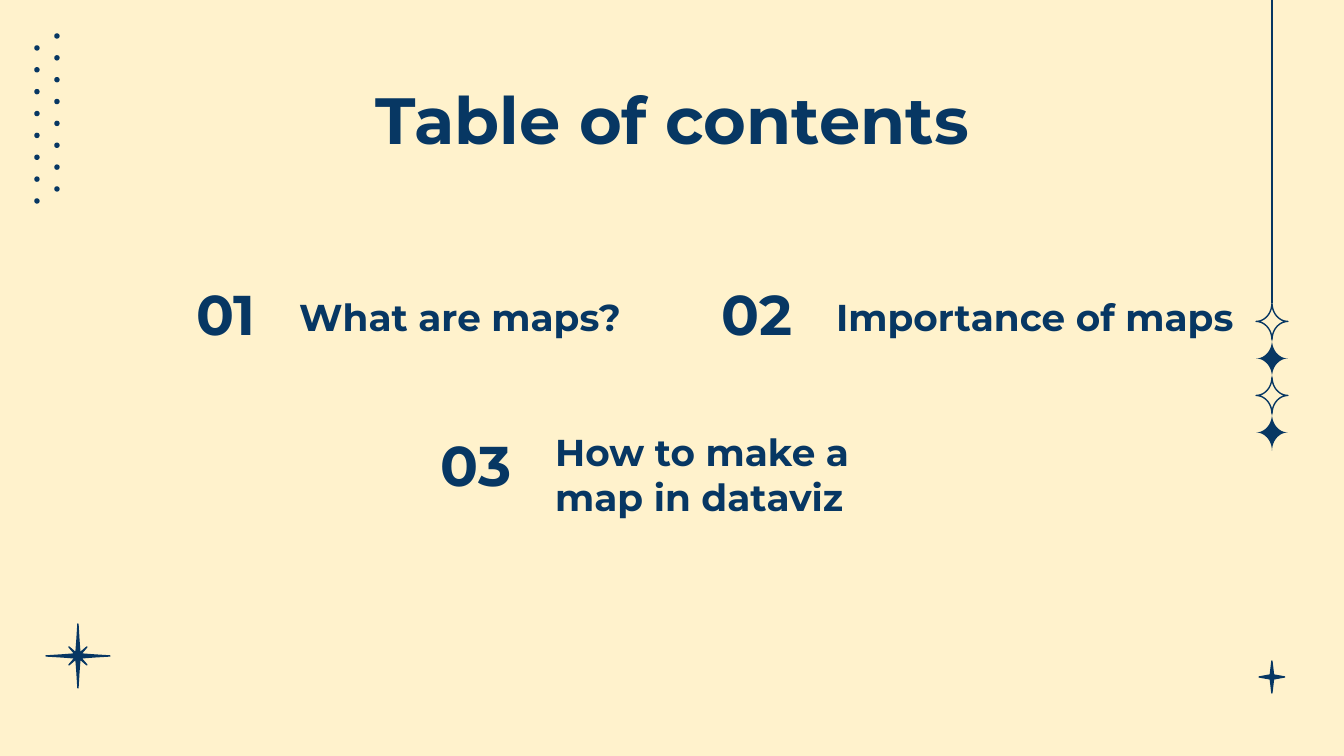
"""Build a table of contents slide with star and dot ornaments."""
import math
from dataclasses import dataclass

import pptx
import pptx.dml.color
import pptx.enum.shapes
import pptx.enum.text
import pptx.oxml.ns
import pptx.util
from lxml import etree

SCALE = 914400 / 134.4
ALIGN = pptx.enum.text.PP_ALIGN
ANCHOR = pptx.enum.text.MSO_ANCHOR


@dataclass(frozen=True)
class Theme:
    ink: str = "073763"
    paper: str = "FFF2CC"
    font: str = "Montserrat"
    title: int = 35
    number: int = 30
    topic: int = 20
    line: float = 0.75


THEME = Theme()
SIZE = (1344, 756)
TITLE = ("Table of contents", (106, 66, 1133, 85))
TOPICS = [
    ("01", (172, 280, 108, 66), "What are maps?", (286, 250, 368, 102)),
    ("02", (703, 280, 108, 66), "Importance of maps", (823, 286, 427, 66)),
    ("03", (422, 431, 108, 66), "How to make a map in dataviz", (542, 419, 340, 113)),
]
DOT = 4
DOT_ROWS = 8
DOT_SPAN = 153
DOT_COLUMNS = [(35, 46), (55, 34)]
AXIS = 1272
GEM_TOP = 303
GEM_HEIGHT = 37
GEM_FILLS = [False, True, False, True]
SPARKLE = [(0, -32), (1, -16), (2, -3), (9, -9), (3, -2), (16, -1)]
TWINKLE = [(0, -16), (2, -2)]


def px(value):
    return pptx.util.Emu(round(value * SCALE))


def ink():
    return pptx.dml.color.RGBColor.from_string(THEME.ink)


def paint(shape, filled=True, outlined=True):
    shape.shadow.inherit = False
    if filled:
        shape.fill.solid()
        shape.fill.fore_color.rgb = ink()
    else:
        shape.fill.background()
    if outlined:
        shape.line.color.rgb = ink()
        shape.line.width = pptx.util.Pt(THEME.line)
    else:
        shape.line.fill.background()


def add_text(page, text, frame, *, size, align=ALIGN.LEFT, anchor=ANCHOR.TOP):
    box = page.shapes.add_textbox(*map(px, frame))
    body = box.text_frame
    body.word_wrap = True
    body.vertical_anchor = anchor
    inset = pptx.util.Inches(0.1)
    body.margin_left = body.margin_right = inset
    body.margin_top = body.margin_bottom = inset
    para = body.paragraphs[0]
    para.alignment = align
    span = para.add_run()
    span.text = text
    span.font.name = THEME.font
    span.font.size = pptx.util.Pt(size)
    span.font.bold = True
    span.font.color.rgb = ink()


def add_star(page, center, quarter, stretch=1, **look):
    points = []
    for _ in range(4):
        points += quarter
        quarter = [(-y, x) for x, y in quarter]
    points = [(px(center[0] + x * stretch), px(center[1] + y)) for x, y in points]
    builder = page.shapes.build_freeform(*points[0])
    builder.add_line_segments(points[1:], close=True)
    paint(builder.convert_to_shape(), **look)


def add_dots(page):
    for left, top in DOT_COLUMNS:
        for row in range(DOT_ROWS):
            y = top + row * DOT_SPAN / (DOT_ROWS - 1)
            dot = page.shapes.add_shape(
                pptx.enum.shapes.MSO_SHAPE.OVAL, px(left), px(y), px(DOT), px(DOT))
            paint(dot)


def add_pendant(page):
    radius = GEM_HEIGHT / 2
    angles = [math.radians(degree) for degree in range(0, 90, 6)]
    arc = [(radius * (1 - math.cos(a)), -radius * (1 - math.sin(a))) for a in angles]
    for index, filled in enumerate(GEM_FILLS):
        center = (AXIS, GEM_TOP + GEM_HEIGHT * (index + 0.5))
        add_star(page, center, arc, 0.86, filled=filled, outlined=not filled)
    cord = page.shapes.add_connector(
        pptx.enum.shapes.MSO_CONNECTOR.STRAIGHT, px(AXIS), px(GEM_TOP), px(AXIS), px(0))
    cord.line.color.rgb = ink()
    cord.line.width = pptx.util.Pt(THEME.line)
    etree.SubElement(cord._element.spPr, pptx.oxml.ns.qn("a:effectLst"))


def main():
    deck = pptx.Presentation()
    deck.slide_width, deck.slide_height = map(px, SIZE)
    page = deck.slides.add_slide(deck.slide_layouts[6])
    page.background.fill.solid()
    page.background.fill.fore_color.rgb = pptx.dml.color.RGBColor.from_string(THEME.paper)

    add_star(page, (78, 656), SPARKLE)
    add_dots(page)
    add_star(page, (AXIS, 677), TWINKLE, 0.8)
    add_pendant(page)

    add_text(page, *TITLE, size=THEME.title, align=ALIGN.CENTER)
    for number, number_frame, topic, topic_frame in TOPICS:
        add_text(page, topic, topic_frame, size=THEME.topic, anchor=ANCHOR.BOTTOM)
        add_text(page, number, number_frame, size=THEME.number,
                 align=ALIGN.CENTER, anchor=ANCHOR.MIDDLE)
    deck.save("out.pptx")


if __name__ == "__main__":
    main()
